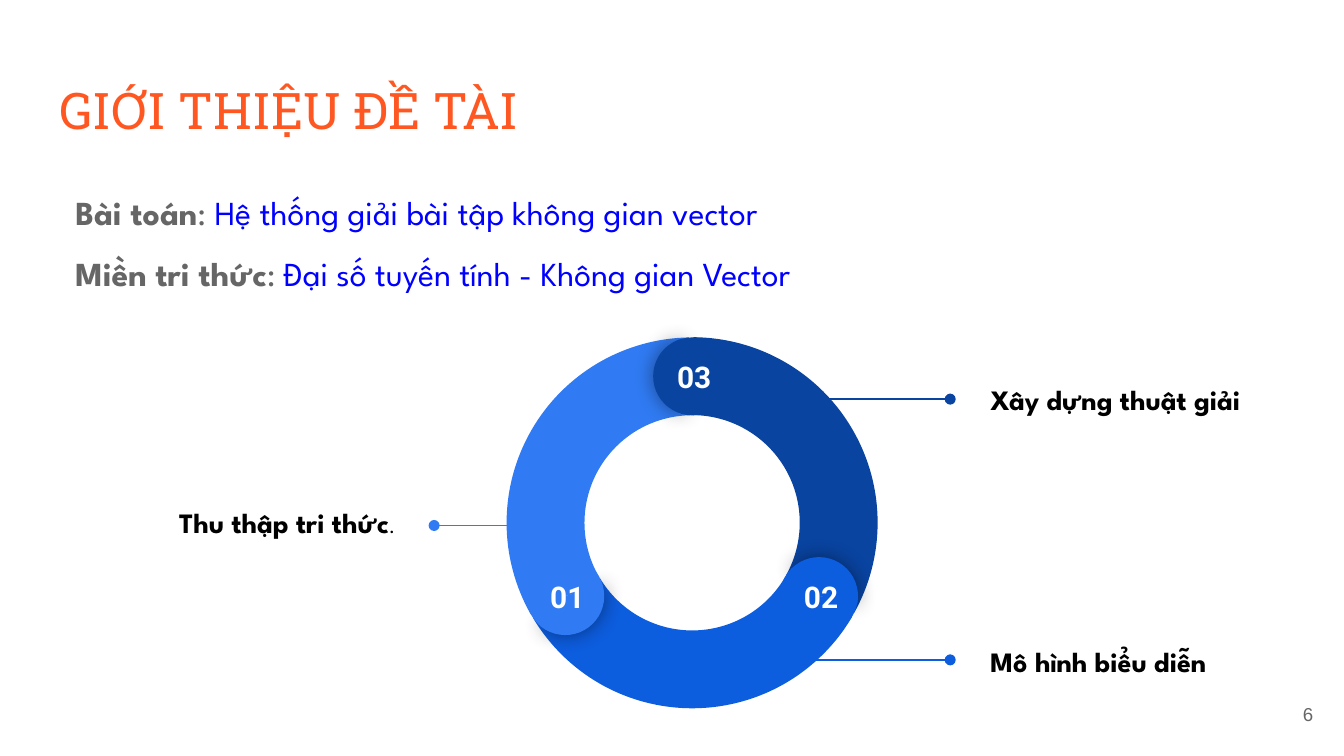
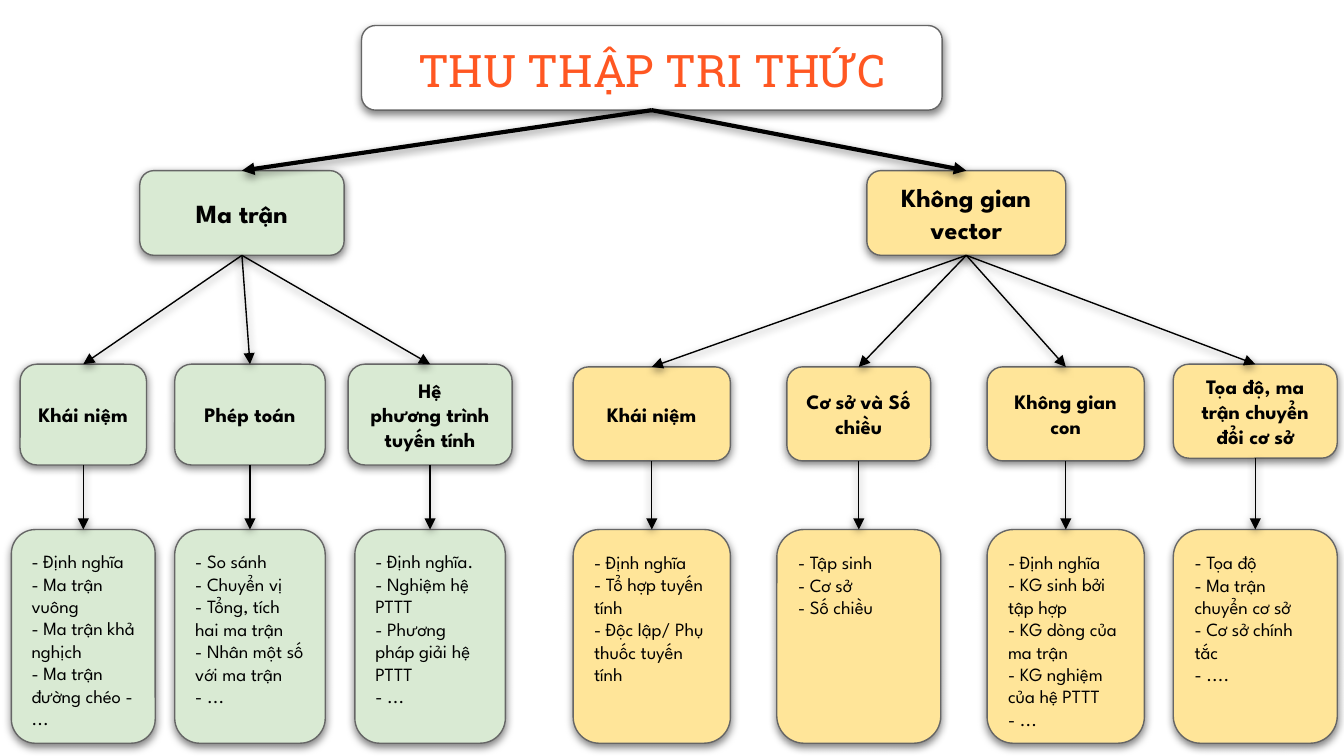
from math import cos, radians, sin

from lxml.etree import SubElement
from pptx import Presentation
from pptx.dml.color import RGBColor
from pptx.enum.shapes import MSO_CONNECTOR, MSO_SHAPE
from pptx.enum.text import MSO_ANCHOR as Anchor, MSO_AUTO_SIZE, PP_ALIGN as Align
from pptx.oxml.ns import qn
from pptx.util import Inches, Pt

# Shared look
WIDTH = 10
HEIGHT = WIDTH * 9 / 16
COLORS = {"title": "FF5722", "gray": "666666", "link": "0000FF", "black": "000000",
          "white": "FFFFFF", "sky": "307BF3", "blue": "0D5DDF", "navy": "0944A1",
          "green": "D9EAD3", "yellow": "FFE599"}
TITLE = {"name": "Roboto Slab", "size": 27, "color": "title", "bold": False}
BODY = {"name": "League Spartan", "size": 18, "color": "gray"}
CALLOUT = {"name": "League Spartan", "size": 15, "color": "black", "bold": True}
NUMBER = {"name": "Roboto", "size": 16, "color": "white", "bold": True}
PAGE = {"name": "Arial", "size": 10, "color": "gray"}
ROOT = TITLE | {"size": 24}
BRANCH = CALLOUT | {"size": 14}
TOPIC = CALLOUT | {"size": 11}
DETAIL = CALLOUT | {"size": 10, "bold": False}
# Shadows: alpha in percent, blur and distance in points, direction in degrees
DROP = (50, 4.5, 1.5, 90)
GLOW = (43, 11.2, 0, 0)

# Slide 1 content
INTRO_TITLE = "GIỚI THIỆU ĐỀ TÀI"
INTRO = [("Bài toán", "Hệ thống giải bài tập không gian vector"),
         ("Miền tri thức", "Đại số tuyến tính - Không gian Vector")]
PAGE_NUMBER = "6"
# number: colour, turn around the ring in degrees
STEPS = {"03": ("navy", 0), "02": ("blue", 120), "01": ("sky", 240)}
CAP_ORDER = ["01", "03", "02"]
# number, label runs, label left and top, alignment, line from x, to x, y
CALLOUTS = [
    ("01", [("Thu thập tri thức", {}), (".", {"size": 11, "bold": False})],
     0.92, 3.25, Align.RIGHT, 3.86, 3.23, 3.91),
    ("03", [("Xây dựng thuật giải", {})], 7.27, 2.33, Align.LEFT, 5.79, 7.07, 2.97),
    ("02", [("Mô hình biểu diễn", {})], 7.27, 4.28, Align.LEFT, 5.79, 7.07, 4.91),
]
RING_CENTER, RING_SIZE, CAP_SIZE, CAP_ORBIT = (5.15, 3.89), 2.76, 0.58, 1.09
ARC_ANGLES, ARC_THICKNESS = (210.4, 329), 0.21
CAP_FRONT, CAP_BACK = (103.2, 249.9), (67.1, 286.4)

# Slide 2 content
TREE_TITLE = "THU THẬP TRI THỨC"
# Branch: name, colour, centre x, width, topics
# Topic: name, centre x, topic width, top, height, detail width, details
TREE = [
    ("Ma trận", "green", 1.8, 1.52, [
        ("Khái niệm", 0.62, 0.94, 2.71, 0.75, 1.07,
         ["Định nghĩa", "Ma trận vuông", "Ma trận khả nghịch",
          "Ma trận đường chéo - ..."]),
        ("Phép toán", 1.86, 1.12, 2.71, 0.75, 1.12,
         ["So sánh", "Chuyển vị", "Tổng, tích hai ma trận",
          "Nhân một số với ma trận", "..."]),
        ("Hệ\nphương trình tuyến tính", 3.2, 1.22, 2.71, 0.75, 1.12,
         ["Định nghĩa.", "Nghiệm hệ PTTT", "Phương pháp giải hệ PTTT", "..."]),
    ]),
    ("Không gian vector", "yellow", 7.19, 1.48, [
        ("Khái niệm", 4.85, 1.17, 2.73, 0.7, 1.17,
         ["Định nghĩa", "Tổ hợp tuyến tính", "Độc lập/ Phụ thuốc tuyến tính"]),
        ("Cơ sở và Số chiều", 6.39, 1.07, 2.73, 0.7, 1.22,
         ["Tập sinh", "Cơ sở", "Số chiều"]),
        ("Không gian con", 7.93, 1.17, 2.73, 0.7, 1.17,
         ["Định nghĩa", "KG sinh bởi tập hợp", "KG dòng của ma trận",
          "KG nghiệm của hệ PTTT", "..."]),
        ("Tọa độ, ma trận chuyển đổi cơ sở", 9.34, 1.22, 2.71, 0.7, 1.22,
         ["Tọa độ", "Ma trận chuyển cơ sở", "Cơ sở chính tắc", "...."]),
    ]),
]
ROOT_CENTER, ROOT_TOP, ROOT_WIDTH = 4.85, 0.19, 4.32
BRANCH_TOP, BRANCH_HEIGHT, DETAIL_TOP, DETAIL_HEIGHT = 1.27, 0.63, 3.94, 1.59


def rgb(color):
    return RGBColor.from_string(COLORS[color])


def place(shape, left, top, width, height):
    box = {"left": left, "top": top, "width": width, "height": height}
    for side, inches in box.items():
        setattr(shape, side, Inches(inches))


def write(shape, paragraphs, style, align=Align.LEFT, anchor=Anchor.MIDDLE, spacing=1):
    """Each paragraph is a string or a list of (text, style changes)."""
    frame = shape.text_frame
    settings = {"word_wrap": True, "auto_size": MSO_AUTO_SIZE.NONE,
                "vertical_anchor": anchor}
    settings |= {f"margin_{side}": Inches(0.1)
                 for side in ("left", "right", "top", "bottom")}
    for key, value in settings.items():
        setattr(frame, key, value)
    for index, runs in enumerate(paragraphs):
        line = frame.add_paragraph() if index else frame.paragraphs[0]
        layout = {"alignment": align, "line_spacing": spacing,
                  "space_before": Pt(0), "space_after": Pt(0)}
        for key, value in layout.items():
            setattr(line, key, value)
        for text, changes in [(runs, {})] if isinstance(runs, str) else runs:
            run = line.add_run()
            run.text = text
            for key, value in (style | changes).items():
                if key == "color":
                    run.font.color.rgb = rgb(value)
                else:
                    setattr(run.font, key, Pt(value) if key == "size" else value)


def cast_shadow(shape, shadow):
    properties = shape._element.spPr
    for old in properties.findall(qn("a:effectLst")):
        properties.remove(old)
    effects = SubElement(properties, qn("a:effectLst"))
    if shadow:
        alpha, blur, distance, direction = shadow
        outer = SubElement(effects, qn("a:outerShdw"), blurRad=str(Pt(blur)),
                           dist=str(Pt(distance)), dir=str(direction * 60000),
                           algn="bl", rotWithShape="0")
        tint = SubElement(outer, qn("a:srgbClr"), val=COLORS["black"])
        SubElement(tint, qn("a:alpha"), val=str(alpha * 1000))


def paint(shape, fill, outline=None, shadow=None):
    shape.fill.solid()
    shape.fill.fore_color.rgb = rgb(fill)
    if outline:
        shape.line.color.rgb = rgb(outline)
        shape.line.width = Pt(0.75)
    else:
        shape.line.fill.background()
    cast_shadow(shape, shadow)


def add_text(slide, box, paragraphs, style, **options):
    label = slide.shapes.add_textbox(*map(Inches, box))
    write(label, paragraphs, style, **options)


def add_line(slide, start, end, color, tip, weight=0.75, shadow=None):
    """Ends are points in inches, or shapes joined from bottom to top."""
    line = slide.shapes.add_connector(MSO_CONNECTOR.STRAIGHT, 0, 0, 0, 0)
    if isinstance(start, tuple):
        line.begin_x, line.begin_y = map(Inches, start)
        line.end_x, line.end_y = map(Inches, end)
    else:
        line.begin_connect(start, 2)
        line.end_connect(end, 0)
    line.line.color.rgb = rgb(color)
    line.line.width = Pt(weight)
    SubElement(line.line._get_or_add_ln(), qn("a:tailEnd"), type=tip)
    cast_shadow(line, shadow)


def add_sector(slide, preset, center, size, turn, angles, color, thickness=None, shadow=None):
    corner = [c - size / 2 for c in center]
    sector = slide.shapes.add_shape(preset, *map(Inches, (*corner, size, size)))
    for index, angle in enumerate(angles):
        sector.adjustments[index] = angle * 0.6
    if thickness:
        sector.adjustments[2] = thickness
    sector.rotation = turn % 360
    paint(sector, color, shadow=shadow)


def build_intro(deck):
    slide = deck.slides.add_slide(deck.slide_layouts[1])
    title = slide.shapes.title
    place(title, 0.34, 0.49, 9.32, 0.63)
    write(title, [INTRO_TITLE], TITLE, anchor=Anchor.TOP)
    add_text(slide, (9.27, 5.1, 0.6, 0.43), [PAGE_NUMBER], PAGE, align=Align.RIGHT)

    # Problem and knowledge domain
    body = slide.placeholders[1]
    place(body, 0.34, 1.18, 9.32, 4.16)
    write(body, [[(name, {"bold": True}), (": ", {"bold": False}),
                  (value, {"bold": False, "color": "link"})] for name, value in INTRO],
          BODY, anchor=Anchor.TOP, spacing=1.5)
    for line in body.text_frame.paragraphs:
        properties = line._p.get_or_add_pPr()
        properties.set("marL", str(Inches(0.12)))
        properties.set("indent", "0")
        SubElement(properties, qn("a:buNone"))

    # Callouts
    for number, label, left, top, align, from_x, to_x, y in CALLOUTS:
        add_text(slide, (left, top, 2.12, 1.28), [label], CALLOUT, align=align)
        add_line(slide, (from_x, y), (to_x, y), STEPS[number][0], "oval")

    # Ring: arcs, then round caps, then numbers
    for color, turn in STEPS.values():
        add_sector(slide, MSO_SHAPE.BLOCK_ARC, RING_CENTER, RING_SIZE, turn + 60,
                   ARC_ANGLES, color, ARC_THICKNESS)
    centers = {number: (RING_CENTER[0] + CAP_ORBIT * sin(radians(turn)),
                        RING_CENTER[1] - CAP_ORBIT * cos(radians(turn)))
               for number, (_, turn) in STEPS.items()}
    for number in CAP_ORDER:
        color, turn = STEPS[number]
        add_sector(slide, MSO_SHAPE.PIE, centers[number], CAP_SIZE, turn + 0.7,
                   CAP_FRONT, color, shadow=GLOW)
        add_sector(slide, MSO_SHAPE.PIE, centers[number], CAP_SIZE, turn + 180,
                   CAP_BACK, color)
    for number, (x, y) in centers.items():
        add_text(slide, (x - 0.24, y - 0.23, 0.51, 0.27), [number], NUMBER,
                 align=Align.CENTER, anchor=Anchor.TOP)


def add_node(slide, center, top, width, height, color, lines, style,
             align=Align.CENTER, anchor=Anchor.MIDDLE):
    box = map(Inches, (center - width / 2, top, width, height))
    node = slide.shapes.add_shape(MSO_SHAPE.ROUNDED_RECTANGLE, *box)
    paint(node, color, "gray", DROP)
    write(node, lines, style, align, anchor)
    return node


def build_tree(deck):
    slide = deck.slides.add_slide(deck.slide_layouts[6])
    root = add_node(slide, ROOT_CENTER, ROOT_TOP, ROOT_WIDTH, BRANCH_HEIGHT, "white",
                    [TREE_TITLE], ROOT, anchor=Anchor.TOP)

    # Branches, topics and details
    links = []
    for name, color, center, width, topics in TREE:
        branch = add_node(slide, center, BRANCH_TOP, width, BRANCH_HEIGHT, color,
                          [name], BRANCH)
        links.append((root, branch, 2.25))
        for topic, x, topic_width, top, height, detail_width, details in topics:
            head = add_node(slide, x, top, topic_width, height, color,
                            topic.split("\n"), TOPIC)
            notes = add_node(slide, x, DETAIL_TOP, detail_width, DETAIL_HEIGHT, color,
                             [f"- {detail}" for detail in details], DETAIL,
                             Align.LEFT, Anchor.TOP)
            links += [(branch, head, 0.75), (head, notes, 0.75)]

    # Arrows lie above the boxes
    for parent, child, weight in links:
        add_line(slide, parent, child, "black", "triangle", weight, DROP)


def main():
    deck = Presentation()
    deck.slide_width, deck.slide_height = Inches(WIDTH), Inches(HEIGHT)
    build_intro(deck)
    build_tree(deck)
    deck.save("out.pptx")


if __name__ == "__main__":
    main()
